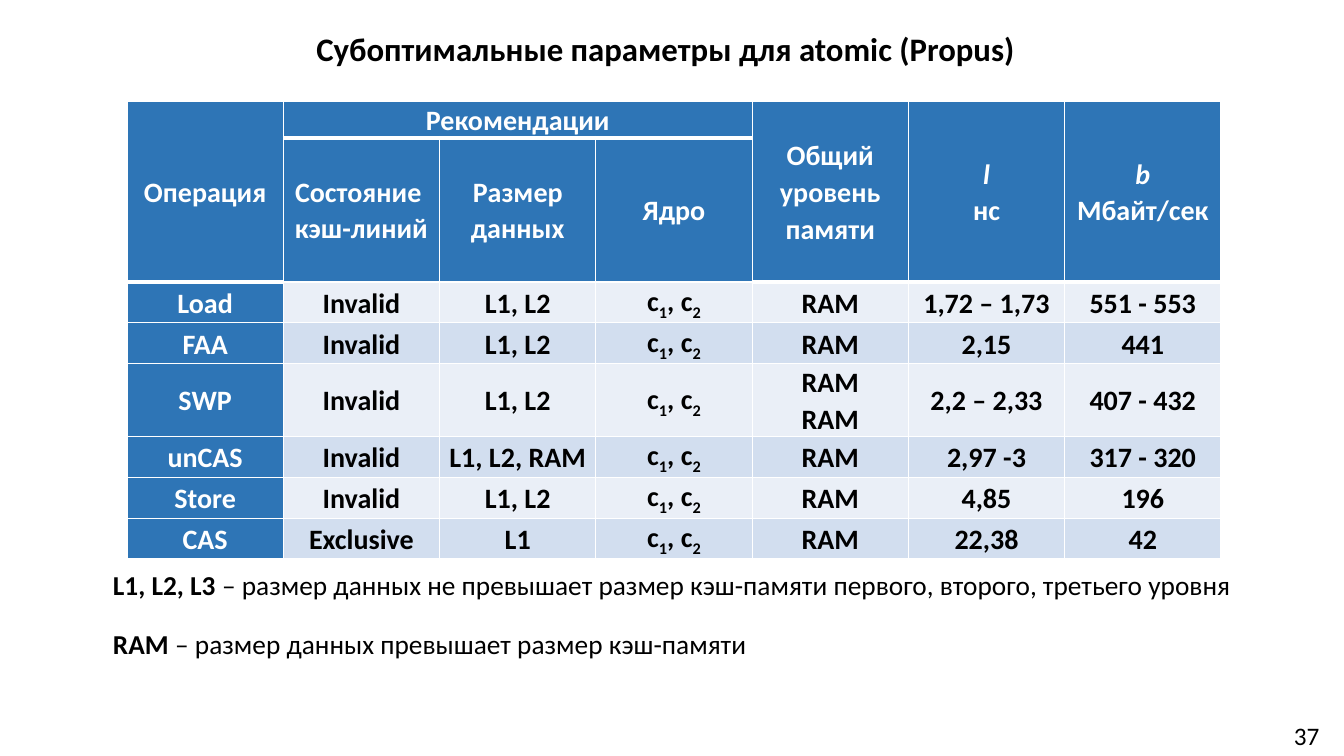
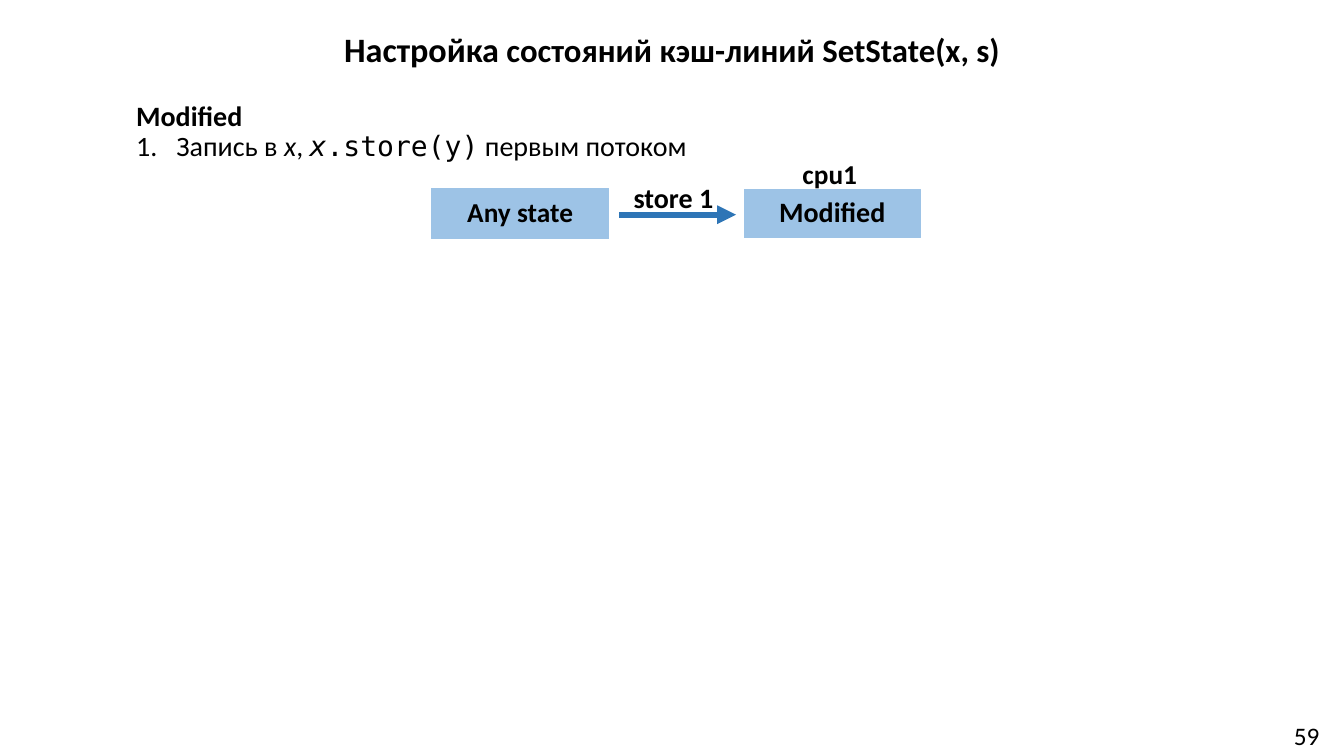
from lxml import etree
from pptx import Presentation
from pptx.dml.color import RGBColor
from pptx.enum import shapes, text
from pptx.oxml import parse_xml
from pptx.oxml.ns import nsdecls, qn
from pptx.util import Inches, Pt

COLORS = {
    "text": "000000",
    "white": "FFFFFF",
    "blue": "2E75B6",
    "sky": "9DC3E6",
    "pale": "EAEFF7",
    "band": "D2DEEF",
}
FONT, MONO = "Calibri", "DejaVu Sans Mono"
CENTER, LEFT = text.PP_ALIGN.CENTER, text.PP_ALIGN.LEFT
MIDDLE = text.MSO_ANCHOR.MIDDLE


def write(para, spans, size, color="text", align=CENTER, spacing=0.9):
    """Fill a paragraph; marks: b bold, i italic, m monospaced, s subscript."""
    para.alignment, para.line_spacing, para.space_before = align, spacing, Pt(0)
    for words, marks in spans:
        span = para.add_run()
        span.text = words
        span.font.name = MONO if "m" in marks else FONT
        span.font.size = Pt(size)
        span.font.bold = "b" in marks
        span.font.italic = "i" in marks
        span.font.color.rgb = RGBColor.from_string(COLORS[color])
        if "s" in marks:
            span.font._element.set("baseline", "-25000")


def add_page(title_spans, title_width, number, body_at):
    """Add a page with its title, page number and placed body."""
    page = deck.slides.add_slide(deck.slide_layouts[1])
    title, body = page.shapes.title, page.placeholders[1]
    for box, at in ((title, (0, 0.28, title_width, 0.67)), (body, body_at)):
        box.left, box.top, box.width, box.height = map(Inches, at)
        box.text_frame.auto_size = text.MSO_AUTO_SIZE.NONE
        box.text_frame.vertical_anchor = text.MSO_ANCHOR.TOP
    write(title.text_frame.paragraphs[0], title_spans, 23.4)
    box = page.shapes.add_textbox(Inches(12.58), Inches(7.07), Inches(0.76), Inches(0.45))
    box.text_frame.word_wrap = True
    box.text_frame.vertical_anchor = MIDDLE
    write(box.text_frame.paragraphs[0], [(number, "")], 18, spacing=1.0)
    return page, body.text_frame


deck = Presentation()
deck.slide_width, deck.slide_height = Inches(13.33), Inches(7.5)

# Page 37: recommendations table
page, notes = add_page([("Субоптимальные параметры для atomic (Propus)", "b")],
                       13.2, "37", (1.02, 5.62, 12.2, 1.49))

CORES = "c1, c2"
ROWS = [
    ["Операция", "Рекомендации", "", "", "Общий уровень памяти", "l\nнс", "b\nМбайт/сек"],
    ["", "Состояние \nкэш-линий", "Размер данных", "Ядро", "", "", ""],
    ["Load", "Invalid", "L1, L2", CORES, "RAM", "1,72 – 1,73", "551 - 553"],
    ["FAA", "Invalid", "L1, L2", CORES, "RAM", "2,15", "441"],
    ["SWP", "Invalid", "L1, L2", CORES, "RAM\nRAM", "2,2 – 2,33", "407 - 432"],
    ["unCAS", "Invalid", "L1, L2, RAM", CORES, "RAM", "2,97 -3", "317 - 320"],
    ["Store", "Invalid", "L1, L2", CORES, "RAM", "4,85", "196"],
    ["CAS", "Exclusive", "L1", CORES, "RAM", "22,38", "42"],
]
HEIGHTS = [0.34, 1.43, 0.4, 0.4, 0.72, 0.4, 0.4, 0.4]
table = page.shapes.add_table(len(ROWS), 7, Inches(1.26), Inches(1.01),
                              Inches(10.84), Inches(sum(HEIGHTS))).table
for column in table.columns:
    column.width = Inches(1.55)
for row, height in zip(table.rows, HEIGHTS):
    row.height = Inches(height)
table.cell(0, 1).merge(table.cell(0, 3))
for column in (0, 4, 5, 6):
    table.cell(0, column).merge(table.cell(1, column))

for r, values in enumerate(ROWS):
    for c, value in enumerate(values):
        cell = table.cell(r, c)
        header = r < 2 or c == 0
        cell.vertical_anchor = MIDDLE
        cell.margin_left = cell.margin_right = Inches(0.07)
        cell.margin_top = cell.margin_bottom = 0
        for side in "LRTB":
            width = 3 if r == 0 and side == "B" else 1
            cell._tc.get_or_add_tcPr().append(parse_xml(
                f'<a:ln{side} {nsdecls("a")} w="{Pt(width)}"><a:solidFill>'
                f'<a:srgbClr val="{COLORS["white"]}"/></a:solidFill></a:ln{side}>'))
        cell.fill.solid()
        fill = "blue" if header else ("pale", "band")[r % 2]
        cell.fill.fore_color.rgb = RGBColor.from_string(COLORS[fill])
        if cell.is_spanned:
            continue
        for n, line in enumerate(value.split("\n")):
            para = cell.text_frame.paragraphs[0] if n == 0 else cell.text_frame.add_paragraph()
            if value == CORES:
                spans = [("c", "b"), ("1", "bs"), (", c", "b"), ("2", "bs")]
            else:
                spans = [(line, "bi" if line in ("l", "b") else "b")]
            write(para, spans, 20, "white" if header else "text", spacing=1.07)

# Legend under the table
LEGEND = [
    ("L1, L2, L3 ", "– размер данных не превышает размер кэш-памяти первого, второго, третьего уровня"),
    ("RAM ", "– размер данных превышает размер кэш-памяти"),
]
for n, (term, meaning) in enumerate(LEGEND):
    para = notes.paragraphs[0] if n == 0 else notes.add_paragraph()
    settings = para._p.get_or_add_pPr()
    settings.set("marL", "0")
    settings.set("indent", "0")
    etree.SubElement(settings, qn("a:buNone"))
    write(para, [(term, "b"), (meaning, "")], 19.5, align=LEFT)
    para.space_before = Pt(21 * n)

# Page 59: setting a cache line state
page, steps = add_page([("Настройка", "b"), (" состояний кэш-линий SetState(x, s)", "b")],
                       13.33, "59", (1.25, 0.96, 7.16, 0.85))
page.shapes.title.text_frame.paragraphs[0].runs[0].font.size = Pt(24.4)

heading, step = steps.paragraphs[0], steps.add_paragraph()
for para, indent, bullet in ((heading, 0, "buNone"), (step, 0.4, "buAutoNum")):
    settings = para._p.get_or_add_pPr()
    settings.set("marL", str(Inches(indent)))
    settings.set("indent", str(-Inches(indent)))
    mark = etree.SubElement(settings, qn("a:" + bullet))
    if bullet == "buAutoNum":
        mark.set("type", "arabicPeriod")
write(heading, [("Modified", "b")], 20, align=LEFT)
write(step, [("Запись в ", ""), ("x", "i"), (", ", ""), ("x", "im"),
             (".store(y)", "m"), (" первым потоком", "")], 20, align=LEFT)

# Transition arrow
arrow = page.shapes.add_connector(shapes.MSO_CONNECTOR.STRAIGHT, Inches(6.14), Inches(2.13),
                                  Inches(7.3), Inches(2.13))
arrow.line.color.rgb = RGBColor.from_string(COLORS["blue"])
arrow.line.width = Pt(4.5)
etree.SubElement(arrow.line._get_or_add_ln(), qn("a:tailEnd")).set("type", "triangle")
etree.SubElement(arrow._element.spPr, qn("a:effectLst"))

# States and their labels
LABELS = [
    ("Any state", 19.5, (4.28, 1.87, 1.76, 0.5), True),
    ("Modified", 20, (7.38, 1.88, 1.75, 0.48), True),
    ("store 1", 20, (6.13, 1.77, 1.1, 0.42), False),
    ("cpu1", 19.5, (7.39, 1.5, 1.68, 0.48), False),
]
for words, size, at, is_state in LABELS:
    place = [Inches(length) for length in at]
    if is_state:
        box = page.shapes.add_shape(shapes.MSO_SHAPE.RECTANGLE, *place)
        box.shadow.inherit = False
        box.fill.solid()
        box.fill.fore_color.rgb = RGBColor.from_string(COLORS["sky"])
        box.line.color.rgb = RGBColor.from_string(COLORS["sky"])
        box.line.width = Pt(0.75)
    else:
        box = page.shapes.add_textbox(*place)
    box.text_frame.word_wrap = True
    box.text_frame.vertical_anchor = MIDDLE
    write(box.text_frame.paragraphs[0], [(words, "b")], size)

deck.save("out.pptx")
